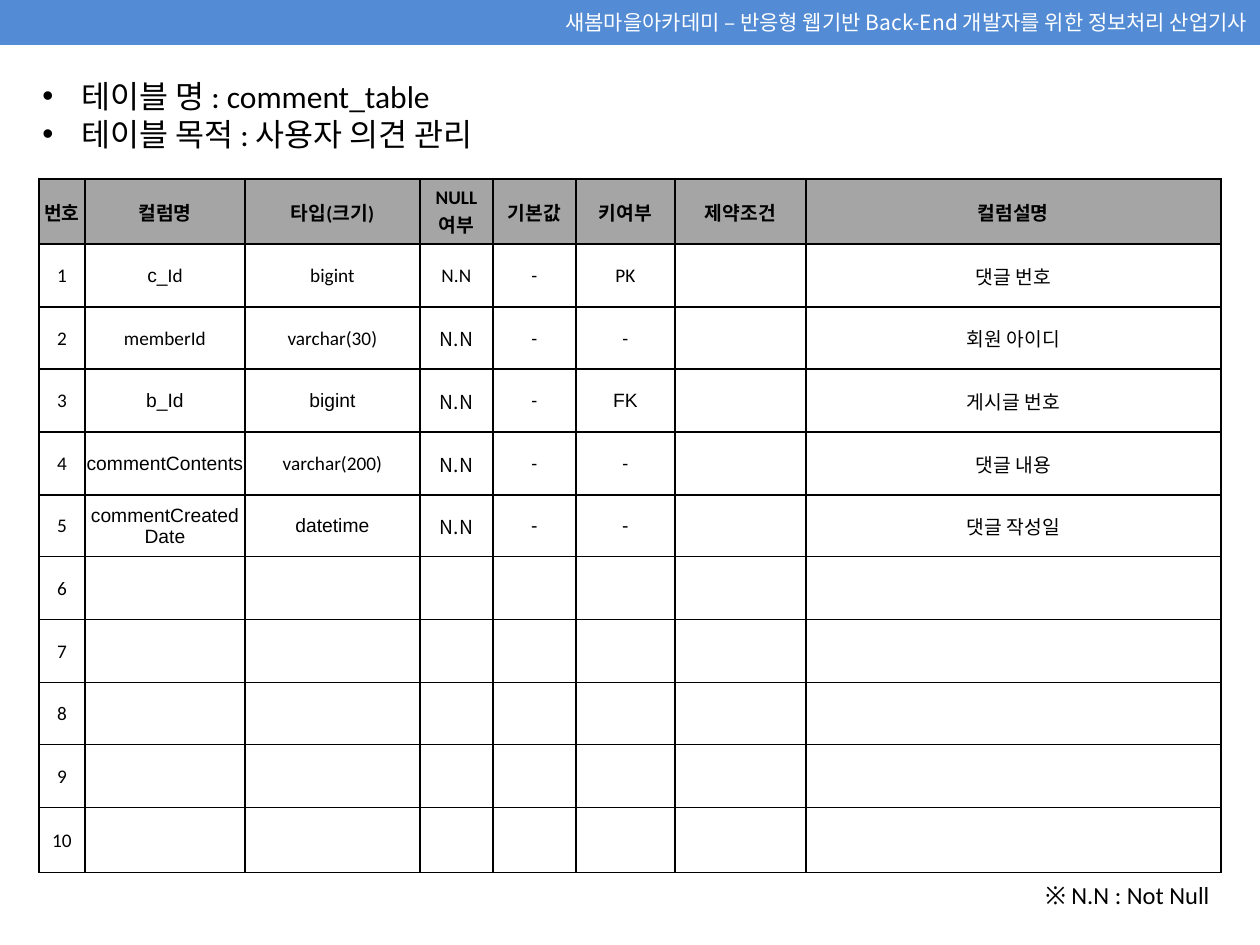
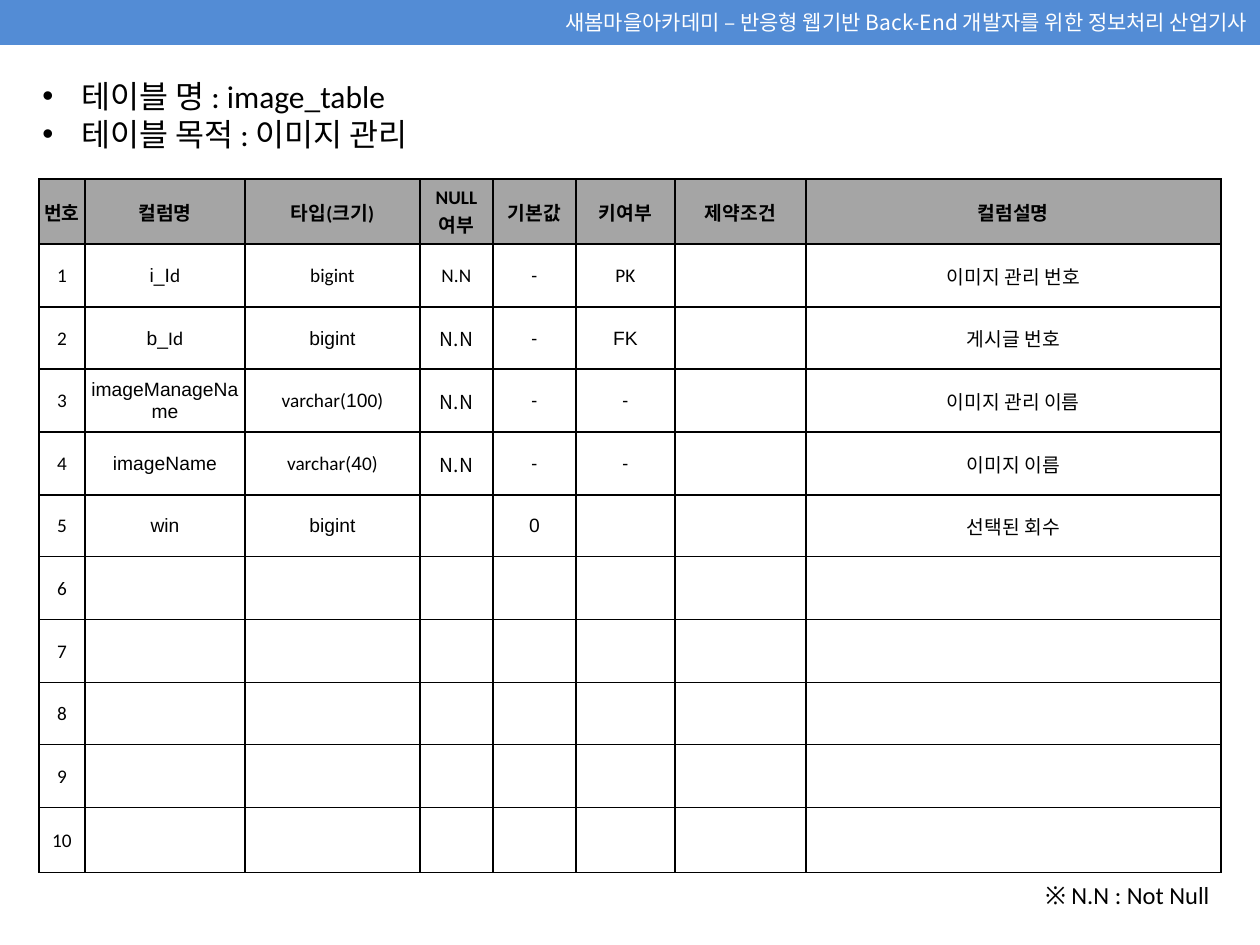
from itertools import accumulate
from lxml.etree import SubElement as Sub
from pptx import Presentation
from pptx.dml.color import RGBColor as Rgb
from pptx.enum.shapes import MSO_SHAPE as Shape
from pptx.enum.text import MSO_ANCHOR as Anchor, MSO_AUTO_SIZE as Fit, PP_ALIGN as Align
from pptx.oxml.ns import qn
from pptx.util import Emu, Pt

SCALE = 914400 // 126
WIDE, HIGH = 1260, 945
BLACK, WHITE, BLUE, GREY = "000000", "FFFFFF", "538CD5", "A5A5A5"
CALIBRI, ARIAL, NOTO = "Calibri", "Arial", "Noto Sans CJK KR"

BAND = "새봄마을아카데미 – 반응형 웹기반 Back-End 개발자를 위한 정보처리 산업기사"
NOTE = "※ N.N : Not Null"
HEADS = ["번호", "컬럼명", "타입(크기)", "NULL 여부", "기본값", "키여부", "제약조건", "컬럼설명"]
COLS = [46, 160, 175, 73, 83, 99, 131, 415]
COUNT = 10
LEFT, TOP = 39, 179
HEAD, LAST, BODY = 65, 65, 564  # heights: header, last row, rows between


def px(size):
    """Turn pixels into EMU."""
    return Emu(size * SCALE)


def tint(code):
    """Turn a hex string into a colour."""
    return Rgb.from_string(code)


def arial(text):
    """Return a run list with one Arial run."""
    return [(text, ARIAL)]


def plain(text):
    """Return a run list with one Calibri run."""
    return [(text, CALIBRI)]


NN = [("N.N", NOTO)]

COMMENTS = [
    [arial("c_") + plain("Id"), "bigint", "N.N", "-", "PK", "", arial("댓글") + plain(" 번호")],
    ["memberId", "varchar(30)", NN, "-", "-", "", "회원 아이디"],
    [arial("b_Id"), arial("bigint"), NN, "-", arial("FK"), "", arial("게시글 번호")],
    [arial("commentContents"), "varchar(200)", NN, "-", "-", "", arial("댓글 내용")],
    [arial("commentCreatedDate"), arial("datetime"), NN, arial("-"), arial("-"), "",
     arial("댓글 작성일")],
]
IMAGES = [
    [arial("i_I") + plain("d"), "bigint", "N.N", "-", "PK", "",
     arial("이미지 관리") + plain(" 번호")],
    [arial("b_") + plain("Id"), arial("bigint"), NN, "-", arial("FK"), "",
     arial("게시글 번호")],
    [arial("imageManageName"), plain("varchar(") + arial("10") + plain("0)"), NN, "-", "-", "",
     arial("이미지 관리 이름")],
    [arial("imageName"), plain("varchar(") + arial("4") + plain("0)"), NN, "-", "-", "",
     arial("이미지") + plain(" 이름")],
    [arial("win"), arial("bigint"), "", arial("0"), "", "", arial("선택된 회수")],
]


def write(frame, *paras, size=11, font=CALIBRI, color=BLACK, bold=False,
          align=Align.LEFT, bullet=False):
    """Fill a text frame; a paragraph is a string or a list of (text, font)."""
    for num, para in enumerate(paras):
        line = frame.add_paragraph() if num else frame.paragraphs[0]
        line.alignment = align
        if bullet:
            mark(line)
        for text, face in [(para, font)] if isinstance(para, str) else para:
            run = line.add_run()
            run.text = text
            run.font.size, run.font.bold, run.font.name = Pt(size), bold, face
            run.font.color.rgb = tint(color)
            Sub(run.font._element, qn("a:ea"), typeface=NOTO)


def mark(line):
    """Give a paragraph a hanging round bullet."""
    props = line._p.get_or_add_pPr()
    props.set("marL", str(px(39)))
    props.set("indent", str(-px(39)))
    Sub(props, qn("a:buFont"), typeface=ARIAL)
    Sub(props, qn("a:buChar"), char="•")


def band(slide):
    """Draw the blue course band along the top."""
    bar = slide.shapes.add_shape(Shape.RECTANGLE, 0, 0, px(WIDE), px(45))
    bar.shadow.inherit = False
    bar.fill.solid()
    bar.fill.fore_color.rgb = tint(BLUE)
    bar.line.fill.background()
    bar.text_frame.word_wrap = True
    bar.text_frame.vertical_anchor = Anchor.MIDDLE
    write(bar.text_frame, BAND, size=12, font=NOTO, color=WHITE, align=Align.RIGHT)


def label(slide, box, *paras, **form):
    """Add a wrapped text box at (left, top, width, height)."""
    frame = slide.shapes.add_textbox(*map(px, box)).text_frame
    frame.word_wrap = True
    frame.auto_size = Fit.SHAPE_TO_FIT_TEXT
    write(frame, *paras, **form)


def edge(cell):
    """Put thin black lines on all four sides of a cell."""
    props = cell._tc.get_or_add_tcPr()
    for side in ("lnL", "lnR", "lnT", "lnB"):
        line = Sub(props, qn("a:" + side), w=str(Pt(1)))
        Sub(Sub(line, qn("a:solidFill")), qn("a:srgbClr"), val=BLACK)


def style(cell, text, head):
    """Format one cell and write its text."""
    cell.margin_left = cell.margin_right = cell.margin_top = px(1)
    cell.margin_bottom = 0
    cell.vertical_anchor = Anchor.MIDDLE
    edge(cell)
    if head:
        cell.fill.solid()
        cell.fill.fore_color.rgb = tint(GREY)
    else:
        cell.fill.background()
    if text:
        write(cell.text_frame, text, bold=head, align=Align.CENTER)


def heights():
    """Return row heights, the middle rows sharing their space evenly."""
    steps = COUNT - 1
    ends = [round(BODY * num / steps) for num in range(COUNT)]
    return [HEAD] + [low - top for top, low in zip(ends, ends[1:])] + [LAST]


def grid(slide, rows):
    """Draw the column table, numbered and padded with empty rows."""
    tall = heights()
    frame = slide.shapes.add_table(COUNT + 1, len(COLS), px(LEFT), px(TOP),
                                   px(sum(COLS)), px(sum(tall)))
    table = frame.table
    table.first_row = table.horz_banding = False
    for col, wide in zip(table.columns, COLS):
        col.width = px(wide)
    blank = [""] * (len(COLS) - 1)
    full = rows + [blank] * (COUNT - len(rows))
    lines = [HEADS] + [[str(num)] + row for num, row in enumerate(full, 1)]
    for num, (line, high) in enumerate(zip(lines, tall)):
        table.rows[num].height = px(high)
        for col, text in enumerate(line):
            style(table.cell(num, col), text, num == 0)


def page(deck, name, goal, rows):
    """Build the slide that describes one database table."""
    slide = deck.slides.add_slide(deck.slide_layouts[6])
    band(slide)
    label(slide, (30, 71, 1196, 89), f"테이블 명 : {name}", f"테이블 목적 : {goal}",
          size=18, bullet=True)
    grid(slide, rows)
    label(slide, (1027, 874, 195, 43), NOTE, size=14, align=Align.RIGHT)


def main():
    """Build and save the deck."""
    deck = Presentation()
    deck.slide_width, deck.slide_height = px(WIDE), px(HIGH)
    page(deck, "comment_table", "사용자 의견 관리", COMMENTS)
    page(deck, "image_table", "이미지 관리", IMAGES)
    deck.save("out.pptx")


main()
